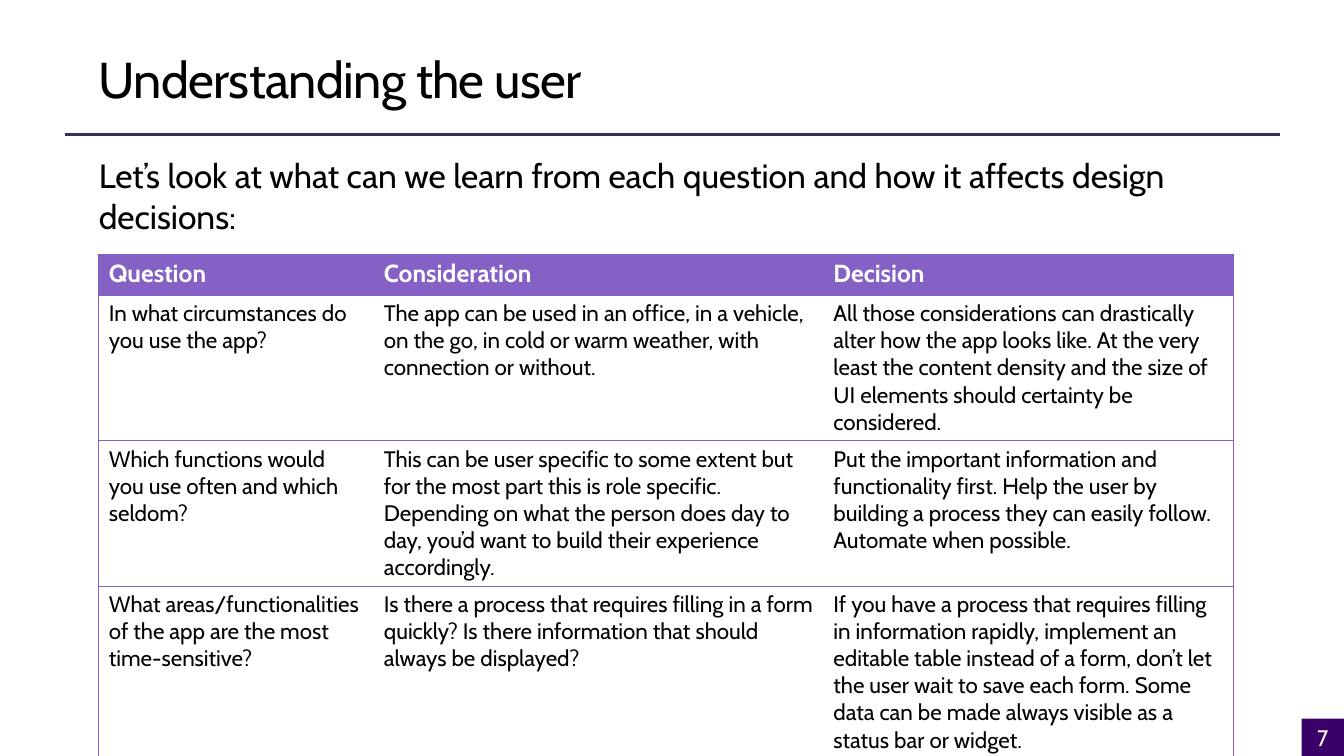
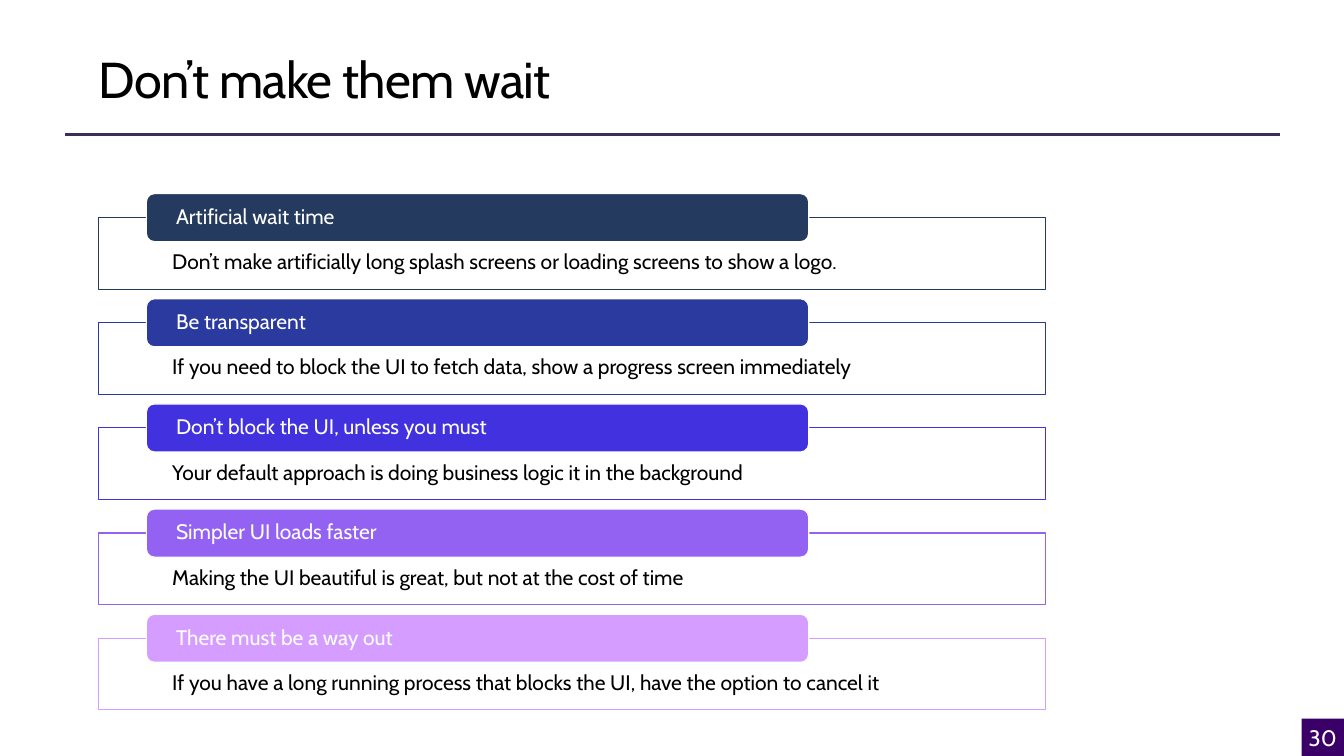
from lxml import etree
from pptx import Presentation
from pptx import util as u
from pptx.dml.color import RGBColor
from pptx.enum import shapes, text
from pptx.oxml.ns import qn

BLACK = RGBColor(0x00, 0x00, 0x00)
WHITE = RGBColor(0xFF, 0xFF, 0xFF)
RULE = RGBColor(0x3B, 0x2E, 0x58)
BADGE = RGBColor(0x3B, 0x00, 0x67)
TABLE = RGBColor(0x86, 0x61, 0xC5)
NAVY = RGBColor(0x24, 0x3A, 0x5E)
BLUE = RGBColor(0x2A, 0x3A, 0x9F)
INDIGO = RGBColor(0x42, 0x31, 0xDE)
VIOLET = RGBColor(0x93, 0x62, 0xF3)
LILAC = RGBColor(0xD5, 0x9D, 0xFF)

FONT = "Cabin"
LEFT = 2.49
TITLE_ONLY, TITLE_AND_BODY = 5, 1

QUESTIONS = [
    ("Question", "Consideration", "Decision"),
    ("In what circumstances do you use the app?",
     "The app can be used in an office, in a vehicle, on the go, in cold or warm weather, "
     "with connection or without.",
     "All those considerations can drastically alter how the app looks like. At the very least "
     "the content density and the size of UI elements should certainty be considered."),
    ("Which functions would you use often and which seldom?",
     "This can be user specific to some extent but for the most part this is role specific. "
     "Depending on what the person does day to day, you’d want to build their experience "
     "accordingly.",
     "Put the important information and functionality first. Help the user by building a process "
     "they can easily follow. Automate when possible."),
    ("What areas/functionalities of the app are the most time-sensitive?",
     "Is there a process that requires filling in a form quickly? Is there information that "
     "should always be displayed?",
     "If you have a process that requires filling in information rapidly, implement an editable "
     "table instead of a form, don’t let the user wait to save each form. Some data can be made "
     "always visible as a status bar or widget."),
]

ADVICE = [
    ("Artificial wait time", NAVY,
     "Don’t make artificially long splash screens or loading screens to show a logo."),
    ("Be transparent", BLUE,
     "If you need to block the UI to fetch data, show a progress screen immediately"),
    ("Don’t block the UI, unless you must", INDIGO,
     "Your default approach is doing business logic it in the background"),
    ("Simpler UI loads faster", VIOLET,
     "Making the UI beautiful is great, but not at the cost of time"),
    ("There must be a way out", LILAC,
     "If you have a long running process that blocks the UI, have the option to cancel it"),
]


def set_values(target, values):
    for name, value in values.items():
        setattr(target, name, value)


class Deck:
    def __init__(self):
        self.deck = Presentation()
        set_values(self.deck, {"slide_width": u.Cm(33.87), "slide_height": u.Cm(19.05)})
        self.page = None

    def fill_frame(self, frame, words, size, color=BLACK, margins=(0, 0, 0, 0),
                   anchor=text.MSO_ANCHOR.TOP, align=text.PP_ALIGN.LEFT, spacing=1.0):
        sides = ("margin_left", "margin_top", "margin_right", "margin_bottom")
        set_values(frame, dict(zip(sides, map(u.Cm, margins))))
        set_values(frame, {"word_wrap": True, "auto_size": text.MSO_AUTO_SIZE.NONE,
                           "vertical_anchor": anchor})
        para = frame.paragraphs[0]
        set_values(para, {"alignment": align, "line_spacing": spacing,
                          "space_before": u.Pt(0)})
        return self.add_span(para, words, size, color)

    def add_span(self, para, words, size, color, bold=False):
        span = para.add_run()
        span.text = words
        set_values(span.font, {"name": FONT, "size": u.Pt(size), "bold": bold})
        span.font.color.rgb = color
        return span

    def place(self, box, left, top, width, height):
        set_values(box, {"left": u.Cm(left), "top": u.Cm(top),
                         "width": u.Cm(width), "height": u.Cm(height)})

    def add_page(self, layout, title, number):
        self.page = self.deck.slides.add_slide(self.deck.slide_layouts[layout])
        self.rule(1.63, 3.38, 32.26)
        box = self.page.shapes.title
        self.place(box, LEFT, 1.19, 30.61, 1.55)
        span = self.fill_frame(box.text_frame, title, 36, anchor=text.MSO_ANCHOR.MIDDLE)
        span._r.get_or_add_rPr().set("spc", "-50")
        badge = self.block(shapes.MSO_SHAPE.RECTANGLE, 32.8, 18.11, 1.07, 0.94, BADGE)
        self.fill_frame(badge.text_frame, number, 16, WHITE, anchor=text.MSO_ANCHOR.MIDDLE,
                        align=text.PP_ALIGN.CENTER)

    def rule(self, left, top, right):
        line = self.page.shapes.add_connector(
            shapes.MSO_CONNECTOR.STRAIGHT, u.Cm(left), u.Cm(top), u.Cm(right), u.Cm(top))
        line.line.color.rgb = RULE
        line.line.width = u.Pt(2)
        etree.SubElement(line._element.spPr, qn("a:effectLst"))

    def block(self, kind, left, top, width, height, fill, outline=None):
        shape = self.page.shapes.add_shape(
            kind, u.Cm(left), u.Cm(top), u.Cm(width), u.Cm(height))
        shape.shadow.inherit = False
        shape.fill.solid()
        shape.fill.fore_color.rgb = fill
        if outline is None:
            shape.line.fill.background()
        else:
            shape.line.color.rgb = outline
            shape.line.width = u.Pt(0.85)
        return shape

    def intro(self, words):
        box = self.page.placeholders[1]
        self.place(box, LEFT, 3.91, 29.67, 2.06)
        props = box.text_frame.paragraphs[0]._p.get_or_add_pPr()
        props.set("marL", "0")
        props.set("indent", "0")
        etree.SubElement(props, qn("a:buNone"))
        self.fill_frame(box.text_frame, words, 24)

    def border(self, cell, side, color):
        line = etree.SubElement(cell._tc.get_or_add_tcPr(), qn(f"a:ln{side}"),
                                w=str(u.Pt(0.75)))
        if color is None:
            etree.SubElement(line, qn("a:noFill"))
        else:
            solid = etree.SubElement(line, qn("a:solidFill"))
            etree.SubElement(solid, qn("a:srgbClr"), val=str(color))

    def table(self, rows, top, widths, heights):
        grid = self.page.shapes.add_table(
            len(rows), len(widths), u.Cm(LEFT), u.Cm(top),
            u.Cm(sum(widths)), u.Cm(sum(heights))).table
        grid.horz_banding = False
        for column, width in zip(grid.columns, widths):
            column.width = u.Cm(width)
        for row, height in zip(grid.rows, heights):
            row.height = u.Cm(height)
        last = len(widths) - 1
        for r, words_row in enumerate(rows):
            header = r == 0
            for c, words in enumerate(words_row):
                cell = grid.cell(r, c)
                edges = {"L": TABLE if c == 0 else None, "R": TABLE if c == last else None,
                         "T": TABLE, "B": TABLE}
                for side, color in edges.items():
                    self.border(cell, side, color)
                cell.fill.solid()
                cell.fill.fore_color.rgb = TABLE if header else WHITE
                self.add_span(cell.text_frame.paragraphs[0], words, 17.6 if header else 16,
                              WHITE if header else BLACK, header)

    def card(self, top, heading, color, words):
        body = self.block(shapes.MSO_SHAPE.RECTANGLE, LEFT, top + 0.6, 23.85, 1.81, WHITE, color)
        self.fill_frame(body.text_frame, words, 15, margins=(1.85, 0.86, 1.85, 0.3), spacing=0.9)
        pill = self.block(shapes.MSO_SHAPE.ROUNDED_RECTANGLE, LEFT + 1.2, top, 16.69, 1.21,
                          color, WHITE)
        self.fill_frame(pill.text_frame, heading, 15, WHITE, margins=(0.69, 0, 0.69, 0),
                        anchor=text.MSO_ANCHOR.MIDDLE, spacing=0.9)


def main():
    deck = Deck()

    deck.add_page(TITLE_AND_BODY, "Understanding the user", "7")
    deck.intro("Let’s look at what can we learn from each question "
               "and how it affects design decisions:")
    deck.table(QUESTIONS, 6.4, (6.93, 11.33, 10.34), (1.04, 3.66, 3.66, 4.27))

    deck.add_page(TITLE_ONLY, "Don’t make them wait", "30")
    for index, (heading, color, words) in enumerate(ADVICE):
        deck.card(4.88 + index * 2.65, heading, color, words)

    deck.deck.save("out.pptx")


if __name__ == "__main__":
    main()
